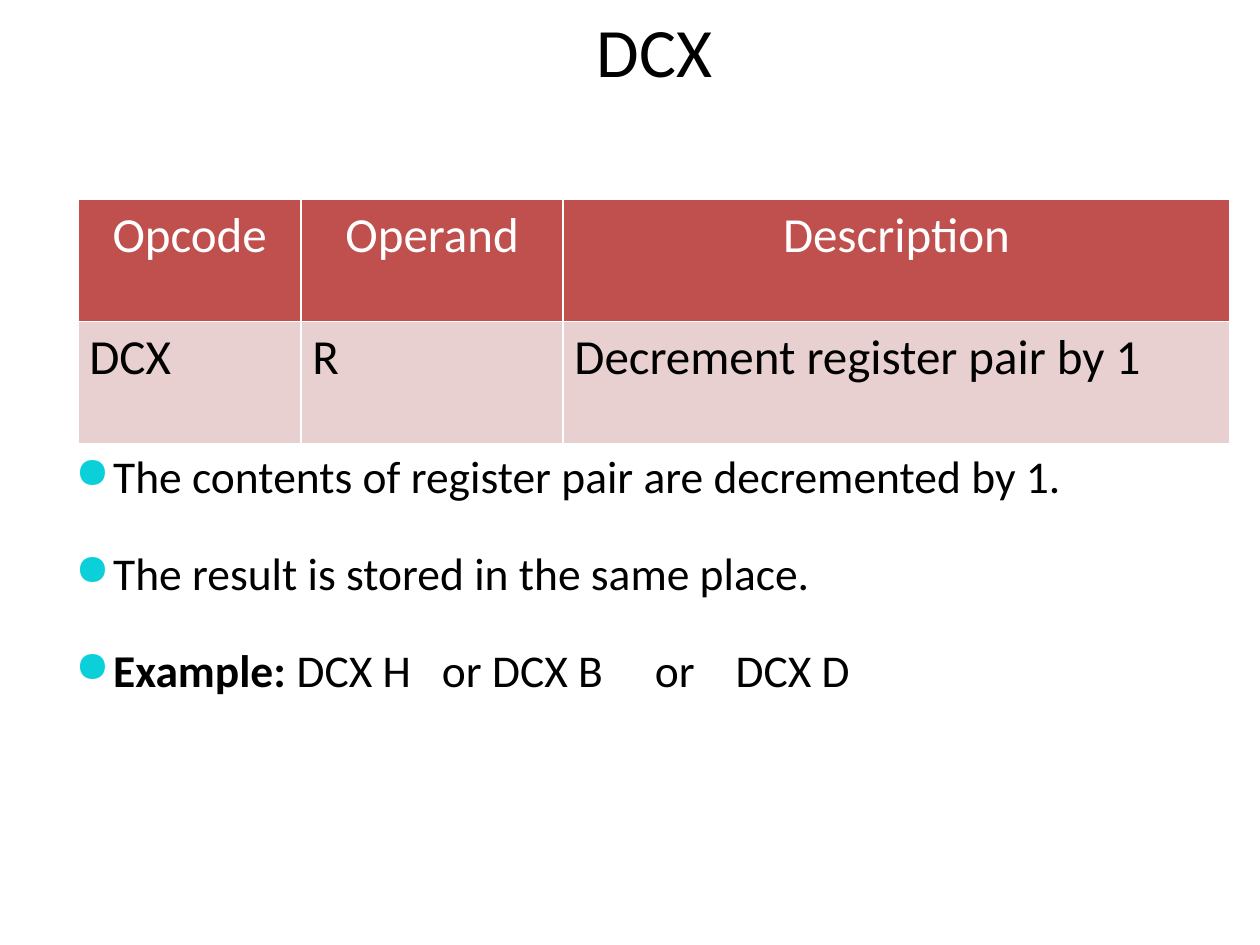
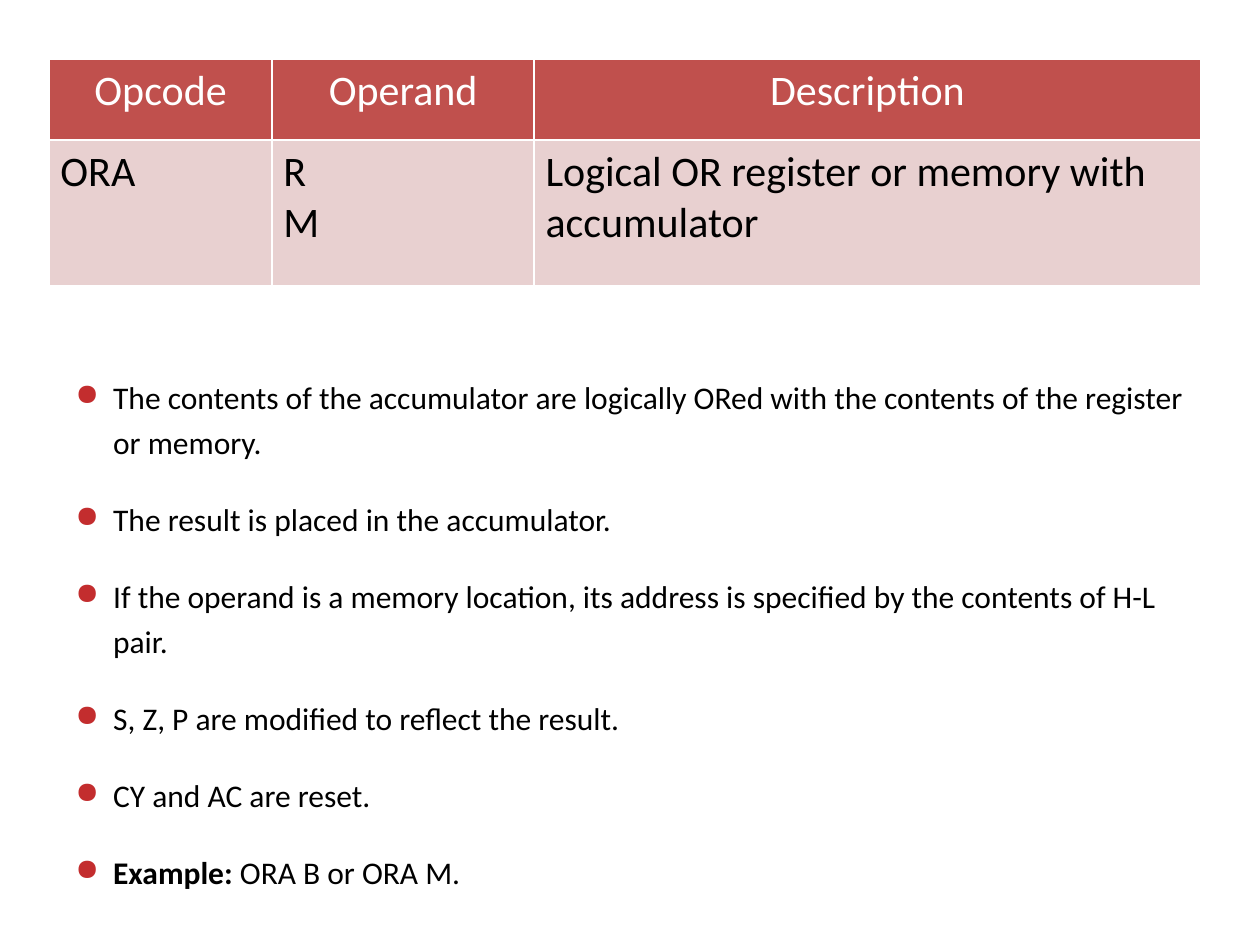
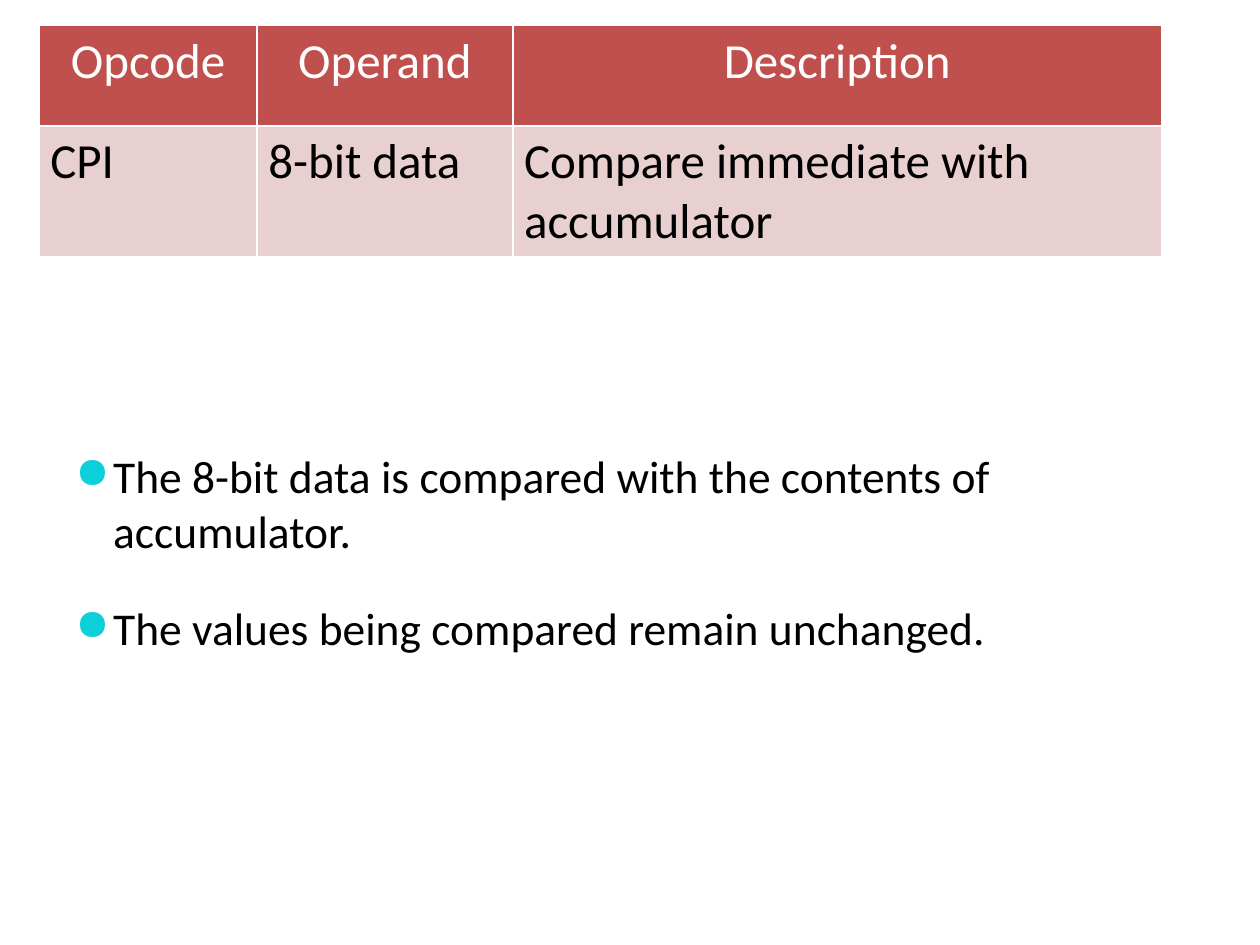
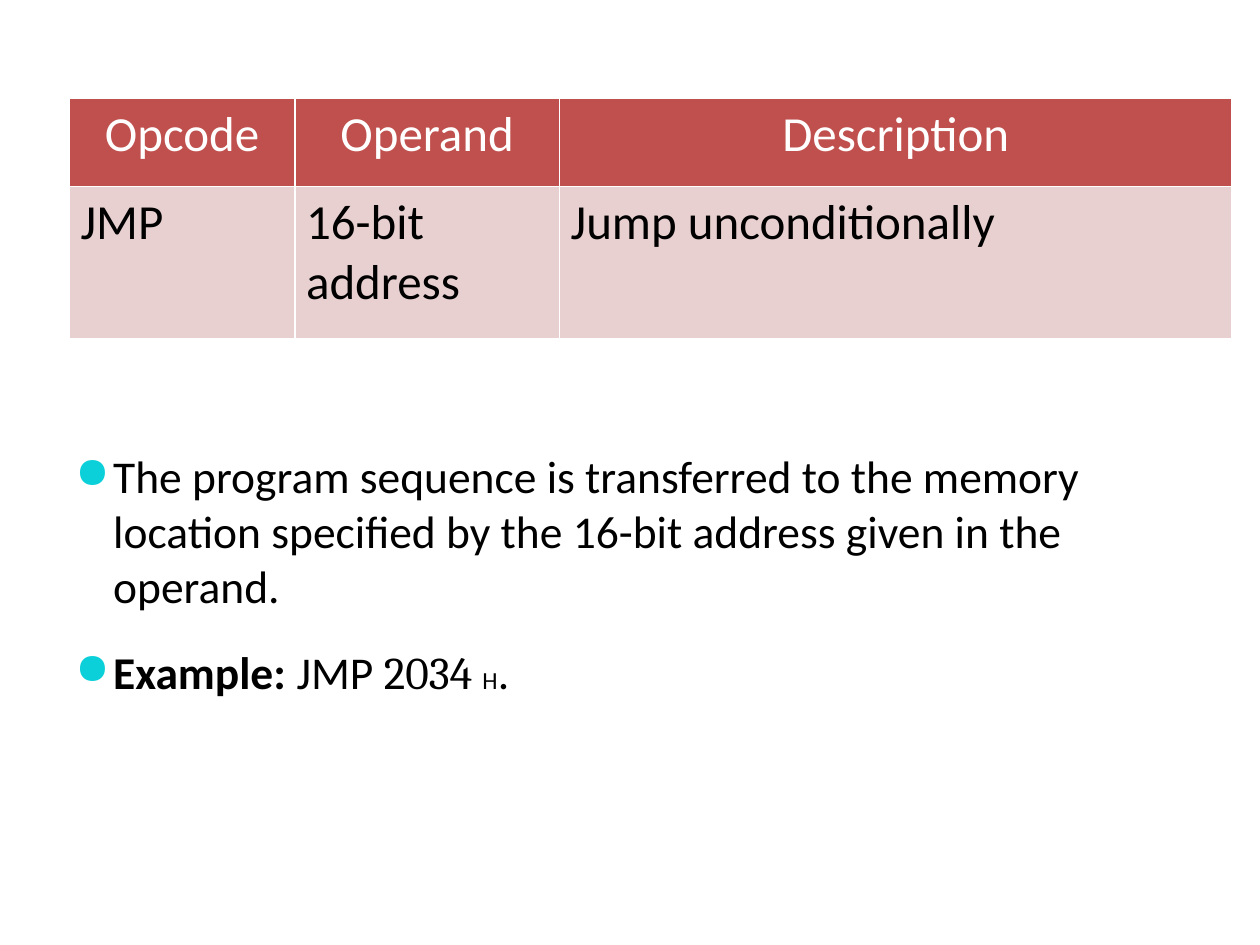
from dataclasses import dataclass
from pptx import Presentation
from pptx import util as u
from pptx.dml.color import RGBColor
from pptx.enum import text
from pptx.oxml.ns import qn
from lxml import etree

PX = 9144


def emu(*sizes):
    return [u.Emu(size * PX) for size in sizes]


@dataclass(frozen=True)
class Theme:
    font: str = "Calibri"
    serif: str = "Cambria"
    ink: str = "000000"
    white: str = "FFFFFF"
    head: str = "C0504D"
    body: str = "E8D0D0"
    aqua: str = "0BD0D9"
    red: str = "C32D2E"
    title: float = 39.6
    large: int = 28
    cell: int = 24
    text: int = 26
    note: int = 18
    sub: int = 14
    rule: int = 1


HEADS = ("Opcode", "Operand", "Description")


class Deck:
    def __init__(self, theme):
        self.theme = theme
        self.file = Presentation()
        self.file.slide_width, self.file.slide_height = emu(1000, 750)
        self.slide = None

    def page(self, title=None):
        layout = self.file.slide_layouts[5 if title else 6]
        self.slide = self.file.slides.add_slide(layout)
        if title:
            self.title(title)

    def title(self, words):
        shape = self.slide.shapes.title
        shape.left, shape.top, shape.width, shape.height = emu(62, 0, 915, 79)
        frame = shape.text_frame
        frame.text = words
        frame.vertical_anchor = text.MSO_ANCHOR.MIDDLE
        para = frame.paragraphs[0]
        para.alignment = text.PP_ALIGN.CENTER
        self.style(para.runs[0].font, self.theme.title)

    def style(self, font, size, color=None, bold=False, face=None):
        font.name = face or self.theme.font
        font.size = u.Pt(size)
        font.bold = bold
        font.color.rgb = RGBColor.from_string(color or self.theme.ink)

    def table(self, left, top, cols, rows, cells, size=None):
        box = emu(left, top, sum(cols), sum(rows))
        grid = self.slide.shapes.add_table(2, len(cols), *box).table
        for col, width in zip(grid.columns, emu(*cols)):
            col.width = width
        for row, height in zip(grid.rows, emu(*rows)):
            row.height = height
        for y, line in enumerate((HEADS, cells)):
            for x, words in enumerate(line):
                self.cell(grid.cell(y, x), words, y == 0, size or self.theme.large)

    def cell(self, cell, words, head, size):
        look = self.theme
        self.edge(cell)
        cell.fill.solid()
        cell.fill.fore_color.rgb = RGBColor.from_string(look.head if head else look.body)
        cell.margin_left, cell.margin_right = emu(9, 9)
        cell.margin_top, cell.margin_bottom = emu(5, 5)
        cell.text_frame.text = words
        for para in cell.text_frame.paragraphs:
            para.alignment = text.PP_ALIGN.CENTER if head else text.PP_ALIGN.LEFT
            for run in para.runs:
                self.style(run.font, size, look.white if head else look.ink)

    def edge(self, cell):
        props = cell._tc.get_or_add_tcPr()
        for side in "LRTB":
            line = etree.SubElement(props, qn(f"a:ln{side}"), w=str(u.Pt(self.theme.rule)))
            fill = etree.SubElement(line, qn("a:solidFill"))
            etree.SubElement(fill, qn("a:srgbClr"), val=self.theme.white)

    def bullet(self, para, color, tabs):
        left, = emu(30)
        props = para._p.get_or_add_pPr()
        props.set("marL", str(left))
        props.set("indent", str(-left))
        tint = etree.SubElement(props, qn("a:buClr"))
        etree.SubElement(tint, qn("a:srgbClr"), val=color)
        etree.SubElement(props, qn("a:buSzPct"), val="95000")
        etree.SubElement(props, qn("a:buChar"), char="●")
        if tabs:
            stops = etree.SubElement(props, qn("a:tabLst"))
            for stop in emu(*tabs):
                etree.SubElement(stops, qn("a:tab"), pos=str(stop), algn="l")

    def points(self, items, top=351, size=None, color=None, after=24, lead=None, tabs=()):
        frame = self.slide.shapes.add_textbox(*emu(50, top, 900, 340)).text_frame
        frame.word_wrap = True
        for num, item in enumerate(items):
            para = frame.add_paragraph() if num else frame.paragraphs[0]
            runs = [(item, {})] if isinstance(item, str) else item
            self.bullet(para, color or self.theme.aqua, tabs if len(runs) > 1 else ())
            para.space_after = u.Pt(after)
            if lead:
                para.line_spacing = lead
            for words, look in runs:
                run = para.add_run()
                run.text = words
                self.style(run.font, **{"size": size or self.theme.text, **look})


def main():
    theme = Theme()
    deck = Deck(theme)
    label = ("Example:", {"bold": True})
    cols = (177, 208, 529)

    deck.page("DCX")
    deck.table(62, 158, cols, (97, 97), ("DCX", "R", "Decrement register pair by 1"))
    deck.points([
        "The contents of register pair are decremented by 1.",
        "The result is stored in the same place.",
        [label, (" DCX H\tor DCX B\tor\tDCX D", {})],
    ], tabs=(291, 460, 524))

    deck.page()
    deck.table(39, 47, cols, (64, 116),
               ("ORA", "R\nM", "Logical OR register or memory with accumulator"), theme.cell)
    deck.points([
        "The contents of the accumulator are logically ORed with the contents of the register or memory.",
        "The result is placed in the accumulator.",
        "If the operand is a memory location, its address is specified by the contents of H-L pair.",
        "S, Z, P are modified to reflect the result.",
        "CY and AC are reset.",
        [label, (" ORA B or ORA M.", {})],
    ], top=289, size=theme.note, color=theme.red, after=18, lead=1.2)

    deck.page()
    deck.table(31, 20, (173, 203, 515), (80, 99),
               ("CPI", "8-bit data", "Compare immediate with accumulator"))
    deck.points([
        "The 8-bit data is compared with the contents of accumulator.",
        "The values being compared remain unchanged.",
    ])

    deck.page()
    deck.table(55, 78, (179, 210, 534), (70, 121),
               ("JMP", "16-bit address", "Jump unconditionally"))
    deck.points([
        "The program sequence is transferred to the memory location specified by "
        "the 16-bit address given in the operand.",
        [label, (" JMP ", {}), ("2034 ", {"face": theme.serif}),
         ("H", {"size": theme.sub}), (".", {})],
    ], after=18)

    deck.file.save("out.pptx")


if __name__ == "__main__":
    main()
